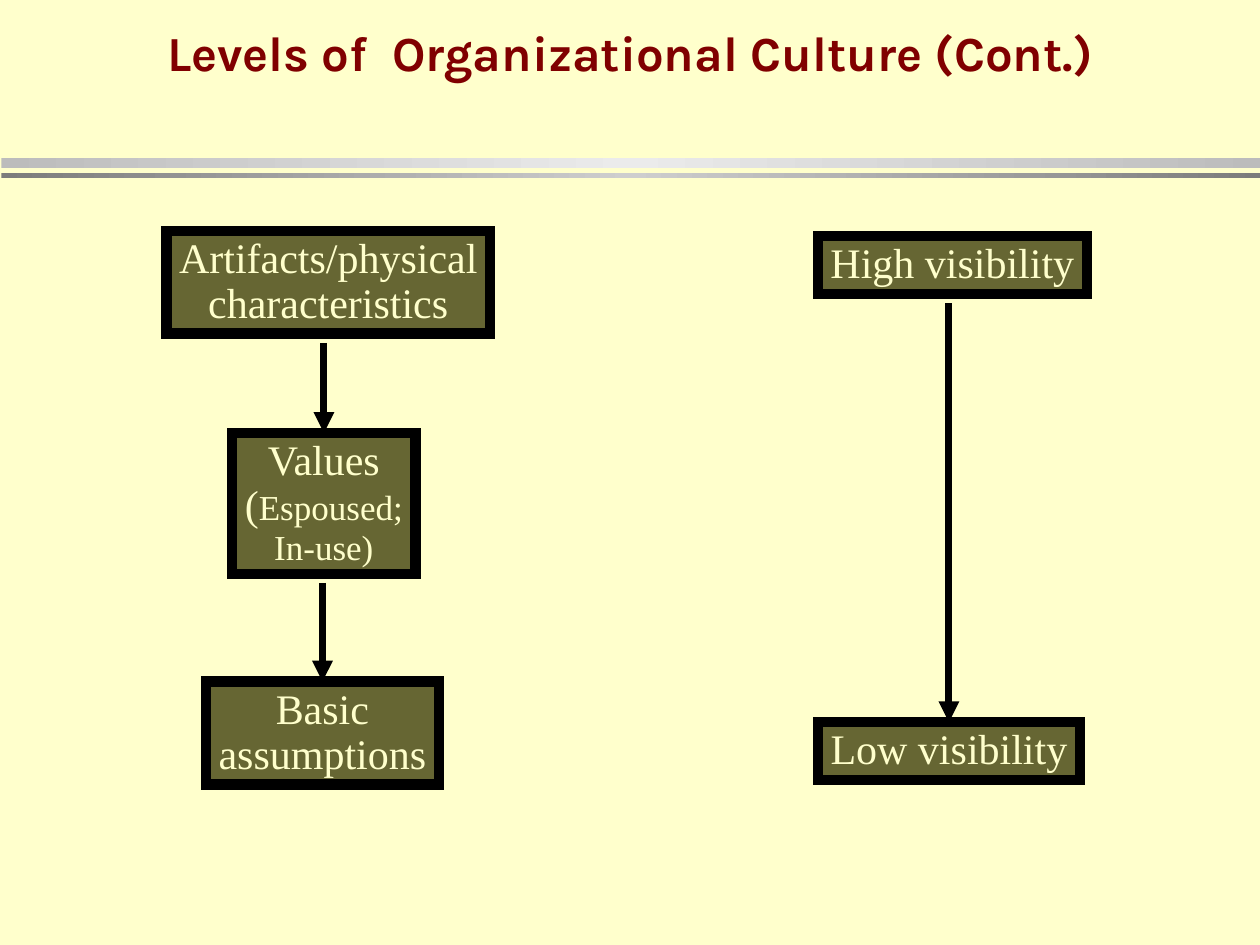
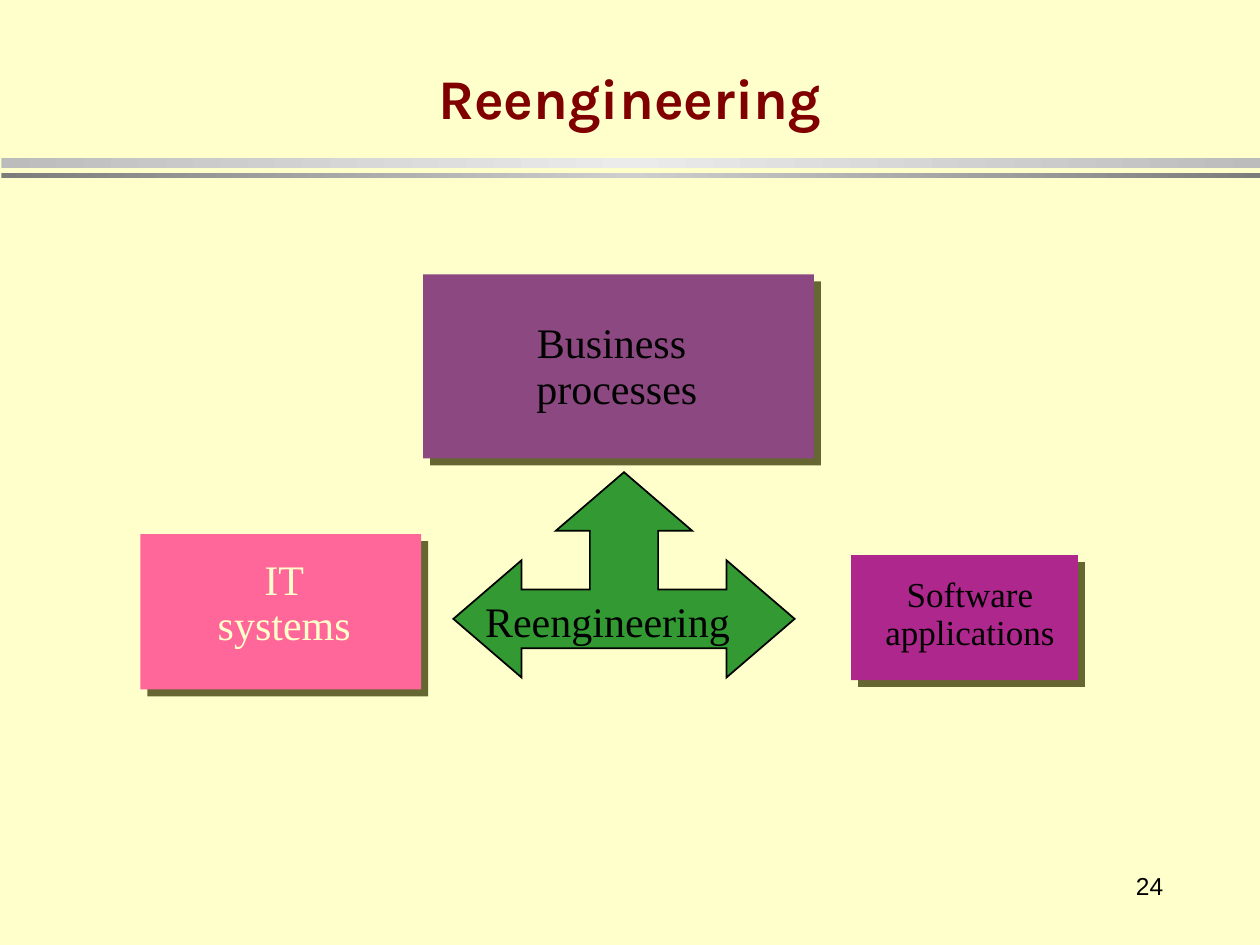
from lxml.etree import SubElement
from pptx import Presentation
from pptx.dml.color import RGBColor
from pptx.enum.shapes import MSO_CONNECTOR, MSO_SHAPE
from pptx.enum.text import MSO_ANCHOR, MSO_AUTO_SIZE, PP_ALIGN
from pptx.oxml.ns import qn
from pptx.util import Cm, Pt

CREAM = RGBColor(0xFF, 0xFF, 0xCC)
MAROON = RGBColor(0x80, 0x00, 0x00)
OLIVE = RGBColor(0x66, 0x66, 0x33)
BLACK = RGBColor(0x00, 0x00, 0x00)
PLUM = RGBColor(0x8C, 0x48, 0x81)
PINK = RGBColor(0xFF, 0x66, 0x99)
MAGENTA = RGBColor(0xAD, 0x27, 0x8D)
GREEN = RGBColor(0x33, 0x99, 0x33)
LIGHT_BAND = (RGBColor(0xBC, 0xBC, 0xBC), RGBColor(0xEB, 0xEB, 0xEB))
DARK_BAND = (RGBColor(0x7C, 0x7C, 0x7C), RGBColor(0xCE, 0xCE, 0xCE))

TITLE_FONT, BODY_FONT, NUMBER_FONT = "Karla", "Times New Roman", "Arial"

# All places are left, top, width, height in centimetres.
BANDS = [((0.03, 3.18, 25.37, 0.2), LIGHT_BAND), ((0.03, 3.48, 25.37, 0.11), DARK_BAND)]

CULTURE_TITLE = "Levels of  Organizational Culture (Cont.)"
# Each text is a list of paragraphs, each paragraph a list of (words, size).
CULTURE_LEVELS = {
    "artifacts": ((3.36, 4.66, 6.52, 2.07), [[("Artifacts/physical\ncharacteristics", 24)]]),
    "values": ((4.68, 8.73, 3.7, 2.84), [[("Values\n(", 24), ("Espoused;\nIn-use)", 20)]]),
    "assumptions": ((4.15, 13.74, 4.7, 2.08), [[("Basic\nassumptions", 24)]]),
    "high": ((16.49, 4.76, 5.42, 1.17), [[("High visibility", 24)]]),
    "low": ((16.49, 14.56, 5.28, 1.17), [[("Low visibility", 24)]]),
}
LEVEL_ARROWS = [("artifacts", "values"), ("values", "assumptions"), ("high", "low")]
ARROW_GAP = Cm(0.18)

REENGINEERING_TITLE = "Reengineering"
PANELS = [
    ((8.53, 5.53, 7.88, 3.71), PLUM),
    ((2.83, 10.77, 5.66, 3.13), PINK),
    ((17.16, 11.19, 4.57, 2.52), MAGENTA),
]
LABELS = [
    ((10.57, 6.38, 3.73, 2.08), [[("Business ", 24)], [("processes", 24)]], BLACK, PP_ALIGN.CENTER),
    ((4.14, 11.15, 3.18, 2.08), [[("IT", 24)], [("systems", 24)]], CREAM, PP_ALIGN.CENTER),
    ((17.6, 11.51, 3.91, 1.78), [[("Software", 20)], [("applications", 20)]], BLACK, PP_ALIGN.CENTER),
    ((9.53, 11.99, 5.44, 1.17), [[("Reengineering", 24)]], BLACK, PP_ALIGN.LEFT),
]
# Left half of the three-way arrow, as (column, row) on a 10 by 7 grid.
ARROW_PLACE = (9.14, 9.52, 6.88, 4.14)
ARROW_COLUMNS, ARROW_ROWS = 10, 7
ARROW_LEFT_HALF = [(5, 0), (3, 2), (4, 2), (4, 4), (2, 4), (2, 3), (0, 5), (2, 7), (2, 6)]
PAGE_NUMBER = ((18.62, 17.15, 5.08, 1.42), "24")


def cm(place):
    return [Cm(length) for length in place]


def apply(target, **formats):
    for attribute, value in formats.items():
        setattr(target, attribute, value)


def style_font(font, name, size, color, bold=False):
    apply(font, name=name, size=Pt(size), bold=bold)
    font.color.rgb = color


def add_rectangle(slide, place):
    rectangle = slide.shapes.add_shape(MSO_SHAPE.RECTANGLE, *cm(place))
    rectangle.shadow.inherit = False
    return rectangle


def paint(shape, fill, line=None, width=0):
    """Fill a shape and give it a line with sharp corners, or none."""
    shape.fill.solid()
    shape.fill.fore_color.rgb = fill
    if line is None:
        shape.line.fill.background()
    else:
        shape.line.color.rgb = line
        shape.line.width = Pt(width)
        SubElement(shape.element.spPr.find(qn("a:ln")), qn("a:miter"), lim="800000")


def write(shape, paragraphs, color, align):
    """Fill a shape with unwrapped text and let it fit that text."""
    frame = shape.text_frame
    apply(frame, word_wrap=False, auto_size=MSO_AUTO_SIZE.SHAPE_TO_FIT_TEXT,
          vertical_anchor=MSO_ANCHOR.TOP)
    if align == PP_ALIGN.CENTER:
        apply(frame, margin_left=Cm(0.2), margin_right=Cm(0.2))
    for index, pieces in enumerate(paragraphs):
        paragraph = frame.add_paragraph() if index else frame.paragraphs[0]
        apply(paragraph, alignment=align, line_spacing=0.9)
        for words, size in pieces:
            for row, line in enumerate(words.split("\n")):
                if row:
                    paragraph.add_line_break()
                run = paragraph.add_run()
                run.text = line
                style_font(run.font, BODY_FONT, size, color)


def add_bands(slide):
    """Draw the two gradient bands and hand them to the slide's layout."""
    for number, (place, (edge, middle)) in enumerate(BANDS):
        band = add_rectangle(slide, place)
        band.line.fill.background()
        band.fill.gradient()
        band.fill.gradient_angle = 0
        stops = band.element.spPr.find(qn("a:gradFill")).find(qn("a:gsLst"))
        stops.clear()
        for percent, color in ((0, edge), (50, middle), (100, edge)):
            stop = SubElement(stops, qn("a:gs"), pos=str(percent * 1000))
            SubElement(stop, qn("a:srgbClr"), val=str(color))
        band.element.nvSpPr.cNvPr.id = 100 + number
        slide.slide_layout.shapes.element.append(band.element)


def set_title(slide, words, place, size, anchor, margin_top=0.13):
    title = slide.shapes.title
    left, top, width, height = cm(place)
    apply(title, left=left, top=top, width=width, height=height)
    frame = title.text_frame
    frame.text = words
    apply(frame, vertical_anchor=anchor, margin_top=Cm(margin_top),
          auto_size=MSO_AUTO_SIZE.NONE)
    paragraph = frame.paragraphs[0]
    paragraph.alignment = PP_ALIGN.CENTER
    style_font(paragraph.runs[0].font, TITLE_FONT, size, MAROON, bold=True)


def add_level_arrow(slide, upper, lower):
    x = lower.left + lower.width // 2
    arrow = slide.shapes.add_connector(
        MSO_CONNECTOR.STRAIGHT, x, upper.top + upper.height + ARROW_GAP, x, lower.top)
    arrow.end_connect(lower, 0)
    arrow.line.color.rgb = BLACK
    arrow.line.width = Pt(4)
    SubElement(arrow.element.spPr.find(qn("a:ln")), qn("a:tailEnd"), type="triangle")
    SubElement(arrow.element.spPr, qn("a:effectLst"))


def add_drop_shadow(shape):
    effects = shape.element.spPr.find(qn("a:effectLst"))
    shadow = SubElement(effects, qn("a:outerShdw"), blurRad="0", dist=str(Pt(5.66)),
                        dir=str(45 * 60000), algn="ctr", rotWithShape="0")
    SubElement(shadow, qn("a:srgbClr"), val=str(OLIVE))


def add_three_way_arrow(slide):
    left, top, width, height = cm(ARROW_PLACE)
    right_half = [(ARROW_COLUMNS - column, row) for column, row in reversed(ARROW_LEFT_HALF[1:])]
    points = [(left + width * column // ARROW_COLUMNS, top + height * row // ARROW_ROWS)
              for column, row in ARROW_LEFT_HALF + right_half]
    outline = slide.shapes.build_freeform(*points[0])
    outline.add_line_segments(points[1:], close=True)
    arrow = outline.convert_to_shape()
    arrow.shadow.inherit = False
    paint(arrow, GREEN, BLACK, 1)


def add_page_number(slide):
    place, number = PAGE_NUMBER
    frame = slide.shapes.add_textbox(*cm(place)).text_frame
    apply(frame, text=number, word_wrap=True, vertical_anchor=MSO_ANCHOR.MIDDLE)
    frame.paragraphs[0].alignment = PP_ALIGN.RIGHT
    style_font(frame.paragraphs[0].runs[0].font, NUMBER_FONT, 14, BLACK)


def build_culture_slide(slide):
    set_title(slide, CULTURE_TITLE, (0, 0.18, 25.4, 2.74), 28, MSO_ANCHOR.TOP, 0.27)
    boxes = {}
    for level, (place, paragraphs) in CULTURE_LEVELS.items():
        boxes[level] = add_rectangle(slide, place)
        paint(boxes[level], OLIVE, BLACK, 6)
        write(boxes[level], paragraphs, CREAM, PP_ALIGN.CENTER)
    for upper, lower in LEVEL_ARROWS:
        add_level_arrow(slide, boxes[upper], boxes[lower])


def build_reengineering_slide(slide):
    add_page_number(slide)
    set_title(slide, REENGINEERING_TITLE, (1.9, 0.66, 21.6, 2.11), 32, MSO_ANCHOR.BOTTOM)
    for place, color in PANELS:
        panel = add_rectangle(slide, place)
        paint(panel, color)
        add_drop_shadow(panel)
    add_three_way_arrow(slide)
    for place, paragraphs, color, align in LABELS:
        write(slide.shapes.add_textbox(*cm(place)), paragraphs, color, align)


def main():
    deck = Presentation()
    apply(deck, slide_width=Cm(25.4), slide_height=Cm(19.05))
    background = deck.slide_master.background.fill
    background.solid()
    background.fore_color.rgb = CREAM
    title_only = deck.slide_layouts[5]
    culture, reengineering = [deck.slides.add_slide(title_only) for _ in range(2)]
    add_bands(culture)
    build_culture_slide(culture)
    build_reengineering_slide(reengineering)
    deck.save("out.pptx")


if __name__ == "__main__":
    main()
